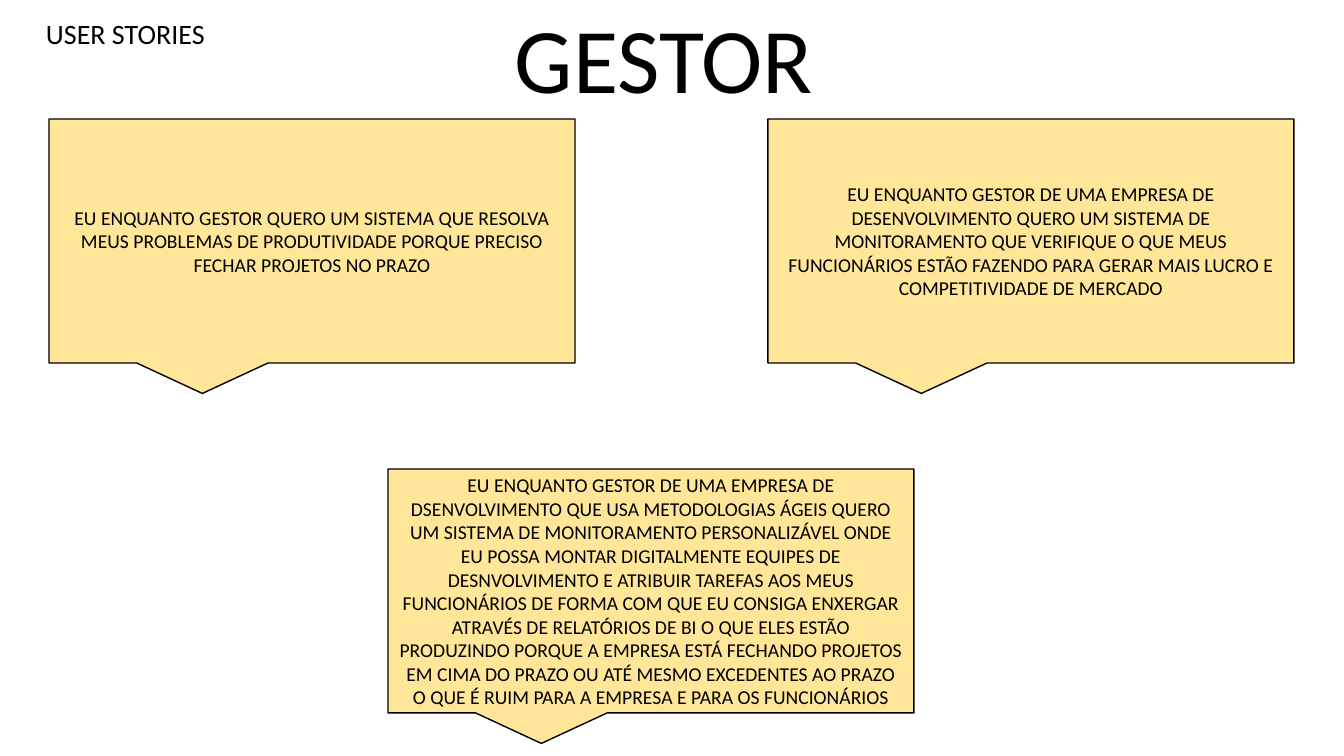
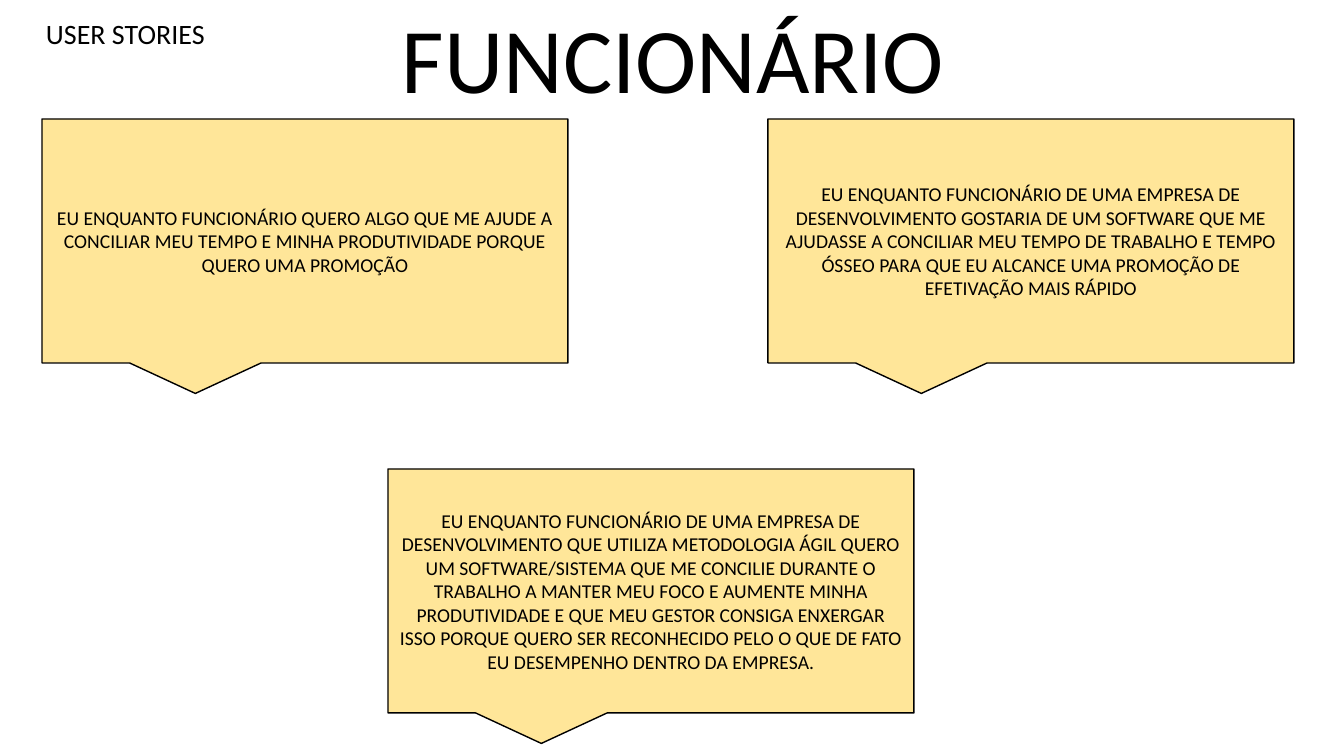
import pptx
import pptx.util
import pptx.dml.color
import pptx.enum.shapes
import pptx.enum.text

PIXEL = 914400 / 100.8
FONT = "Calibri"
BLACK = pptx.dml.color.RGBColor(0x00, 0x00, 0x00)
CREAM = pptx.dml.color.RGBColor(0xFF, 0xE6, 0x99)
LEFT = pptx.enum.text.PP_ALIGN.LEFT
CENTER = pptx.enum.text.PP_ALIGN.CENTER
TOP = pptx.enum.text.MSO_ANCHOR.TOP
MIDDLE = pptx.enum.text.MSO_ANCHOR.MIDDLE

STORY_SIZE = (526, 244)
UPPER_ROW = 119
LOWER_ROW = 469
CENTER_STORY = (388, LOWER_ROW)
RIGHT_STORY = (768, UPPER_ROW)

ROLES = [
    {
        "name": "GESTOR",
        "name_left": 505,
        "name_width": 320,
        "stories": [
            ((49, UPPER_ROW),
             "EU ENQUANTO GESTOR QUERO UM SISTEMA QUE RESOLVA MEUS PROBLEMAS "
             "DE PRODUTIVIDADE PORQUE PRECISO FECHAR PROJETOS NO PRAZO"),
            (CENTER_STORY,
             "EU ENQUANTO GESTOR DE UMA EMPRESA DE DSENVOLVIMENTO QUE USA "
             "METODOLOGIAS ÁGEIS QUERO UM SISTEMA DE MONITORAMENTO "
             "PERSONALIZÁVEL ONDE EU POSSA MONTAR DIGITALMENTE EQUIPES DE "
             "DESNVOLVIMENTO E ATRIBUIR TAREFAS AOS MEUS FUNCIONÁRIOS DE FORMA "
             "COM QUE EU CONSIGA ENXERGAR ATRAVÉS DE RELATÓRIOS DE BI O QUE "
             "ELES ESTÃO PRODUZINDO PORQUE A EMPRESA ESTÁ FECHANDO PROJETOS EM "
             "CIMA DO PRAZO OU ATÉ MESMO EXCEDENTES AO PRAZO O QUE É RUIM PARA "
             "A EMPRESA E PARA OS FUNCIONÁRIOS"),
            (RIGHT_STORY,
             "EU ENQUANTO GESTOR DE UMA EMPRESA DE DESENVOLVIMENTO QUERO UM "
             "SISTEMA DE MONITORAMENTO QUE VERIFIQUE O QUE MEUS FUNCIONÁRIOS "
             "ESTÃO FAZENDO PARA GERAR MAIS LUCRO E COMPETITIVIDADE DE MERCADO"),
        ],
    },
    {
        "name": "FUNCIONÁRIO",
        "name_left": 392,
        "name_width": 602,
        "stories": [
            ((42, UPPER_ROW),
             "EU ENQUANTO FUNCIONÁRIO QUERO ALGO QUE ME AJUDE A CONCILIAR MEU "
             "TEMPO E MINHA PRODUTIVIDADE PORQUE QUERO UMA PROMOÇÃO"),
            (CENTER_STORY,
             "EU ENQUANTO FUNCIONÁRIO DE UMA EMPRESA DE DESENVOLVIMENTO QUE "
             "UTILIZA METODOLOGIA ÁGIL QUERO UM SOFTWARE/SISTEMA QUE ME "
             "CONCILIE DURANTE O TRABALHO A MANTER MEU FOCO E AUMENTE MINHA "
             "PRODUTIVIDADE E QUE MEU GESTOR CONSIGA ENXERGAR ISSO PORQUE "
             "QUERO SER RECONHECIDO PELO O QUE DE FATO EU DESEMPENHO DENTRO "
             "DA EMPRESA."),
            (RIGHT_STORY,
             "EU ENQUANTO FUNCIONÁRIO DE UMA EMPRESA DE DESENVOLVIMENTO "
             "GOSTARIA DE UM SOFTWARE QUE ME AJUDASSE A CONCILIAR MEU TEMPO DE "
             "TRABALHO E TEMPO ÓSSEO PARA QUE EU ALCANCE UMA PROMOÇÃO DE "
             "EFETIVAÇÃO MAIS RÁPIDO"),
        ],
    },
]


def px(*lengths):
    return [pptx.util.Emu(round(length * PIXEL)) for length in lengths]


def write(frame, text, *, size, align=LEFT, anchor=TOP):
    frame.word_wrap = True
    frame.vertical_anchor = anchor
    paragraph = frame.paragraphs[0]
    paragraph.alignment = align
    run = paragraph.add_run()
    run.text = text
    run.font.name = FONT
    run.font.size = pptx.util.Pt(size)
    run.font.color.rgb = BLACK


def add_label(slide, box, text, size):
    label = slide.shapes.add_textbox(*px(*box))
    write(label.text_frame, text, size=size)
    label.text_frame.auto_size = pptx.enum.text.MSO_AUTO_SIZE.SHAPE_TO_FIT_TEXT


def add_story(slide, corner, text):
    callout = slide.shapes.add_shape(
        pptx.enum.shapes.MSO_SHAPE.RECTANGULAR_CALLOUT, *px(*corner, *STORY_SIZE))
    callout.shadow.inherit = False
    callout.fill.solid()
    callout.fill.fore_color.rgb = CREAM
    callout.line.color.rgb = BLACK
    callout.line.width = pptx.util.Pt(1)
    write(callout.text_frame, text, size=14, align=CENTER, anchor=MIDDLE)


def add_role_slide(deck, role):
    slide = deck.slides.add_slide(deck.slide_layouts[6])
    for corner, story in role["stories"]:
        add_story(slide, corner, story)
    add_label(slide, (role["name_left"], -4, role["name_width"], 122), role["name"], 66)
    add_label(slide, (36, 12, 320, 44), "USER STORIES", 20)


def main():
    deck = pptx.Presentation()
    deck.slide_width, deck.slide_height = px(1344, 756)
    for role in ROLES:
        add_role_slide(deck, role)
    deck.save("out.pptx")


main()
